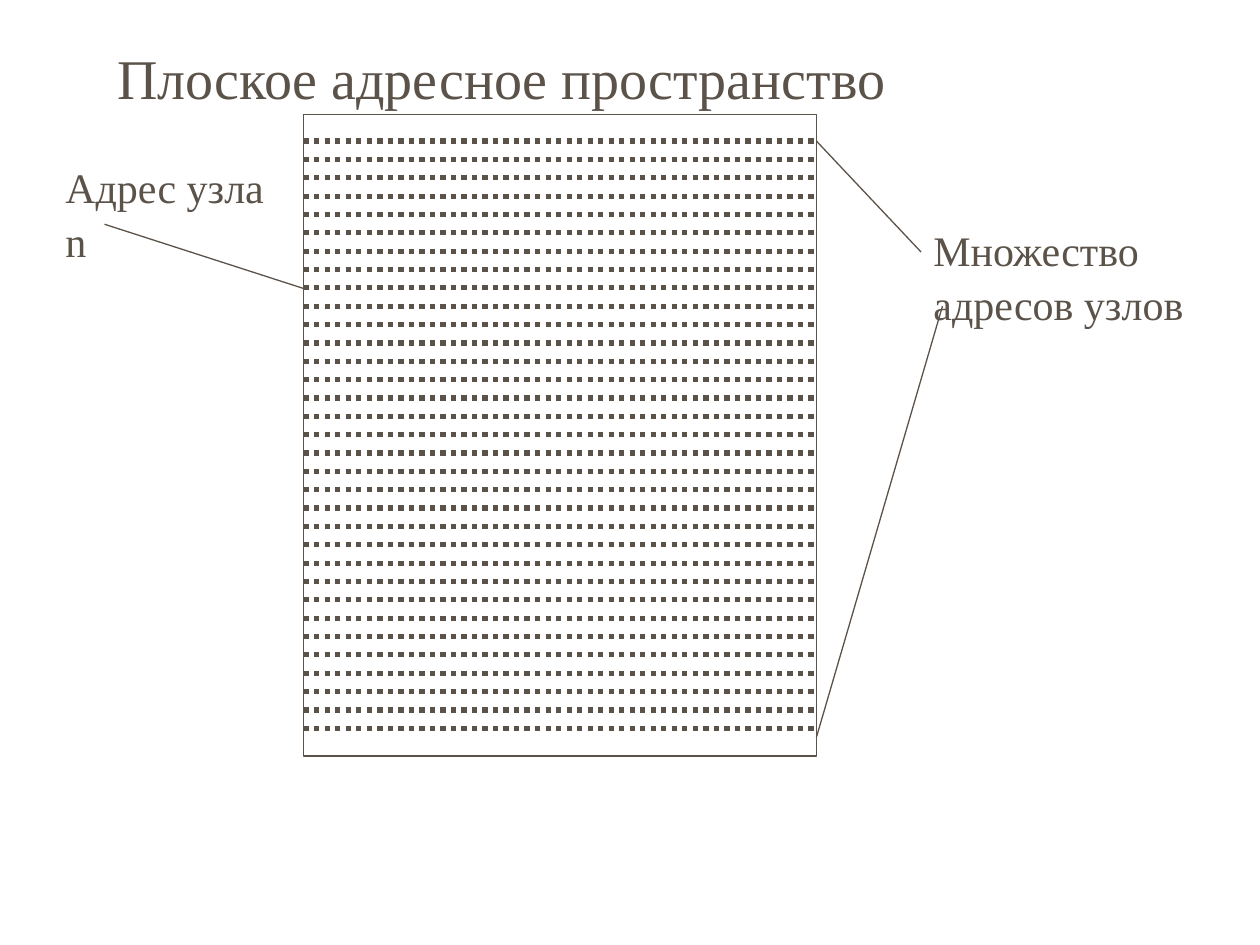
from typing import NamedTuple

from lxml import etree
from pptx import Presentation
from pptx.dml.color import RGBColor
from pptx.enum.dml import MSO_LINE
from pptx.enum.shapes import MSO_CONNECTOR, MSO_SHAPE
from pptx.enum.text import MSO_ANCHOR, MSO_AUTO_SIZE, PP_ALIGN
from pptx.oxml.ns import qn
from pptx.util import Inches, Pt

DOT = MSO_LINE.ROUND_DOT
STRAIGHT = MSO_CONNECTOR.STRAIGHT
RECT = MSO_SHAPE.RECTANGLE
TOP = MSO_ANCHOR.TOP
GROW = MSO_AUTO_SIZE.SHAPE_TO_FIT_TEXT
LEFT = PP_ALIGN.LEFT

INK = "5B5249"
FONT = "Times New Roman"


class Box(NamedTuple):
    left: float
    top: float
    width: float
    height: float


class Label(NamedTuple):
    text: str
    box: Box


class Line(NamedTuple):
    x1: float
    y1: float
    x2: float
    y2: float


FRAME = Box(2.41, 0.91, 4.07, 5.09)
RIGHT = FRAME.left + FRAME.width
ROWS = 33
FIRST, LAST = 1.12, 5.78
STEP = (LAST - FIRST) / (ROWS - 1)

TITLE = Label("Плоское адресное пространство", Box(0.83, 0.25, 7.48, 0.63))
LABELS = [
    Label("Множество адресов узлов", Box(7.31, 1.7, 2.24, 0.9)),
    Label("Адрес узла n", Box(0.42, 1.2, 1.83, 0.9)),
]
LEADERS = [
    Line(RIGHT, FIRST, 7.31, 2),
    Line(7.48, 2.43, RIGHT, 5.85),
    Line(0.83, 1.78, FRAME.left, 2.29),
]


def color(code: str) -> RGBColor:
    return RGBColor.from_string(code)


def place(shape, box: Box) -> None:
    shape.left, shape.top, shape.width, shape.height = map(Inches, box)


def write(shape, text: str, size: float) -> None:
    frame = shape.text_frame
    frame.text = text
    frame.word_wrap = True
    frame.auto_size = GROW
    frame.vertical_anchor = TOP
    para = frame.paragraphs[0]
    para.alignment = LEFT
    para.line_spacing = 1.08
    font = para.runs[0].font
    font.name = FONT
    font.size = Pt(size)
    font.color.rgb = color(INK)


def draw_frame(slide) -> None:
    shape = slide.shapes.add_shape(RECT, *map(Inches, FRAME))
    shape.shadow.inherit = False
    shape.fill.background()
    shape.line.color.rgb = color(INK)
    shape.line.width = Pt(0.75)


def draw_line(slide, line: Line, width: float = 0.75, dash=None) -> None:
    shape = slide.shapes.add_connector(STRAIGHT, *map(Inches, line))
    shape.line.color.rgb = color(INK)
    shape.line.width = Pt(width)
    if dash is not None:
        shape.line.dash_style = dash
    etree.SubElement(shape._element.spPr, qn("a:effectLst"))


def main() -> None:
    deck = Presentation()
    deck.slide_width, deck.slide_height = Inches(10), Inches(7.5)
    slide = deck.slides.add_slide(deck.slide_layouts[5])

    title = slide.shapes.title
    place(title, TITLE.box)
    write(title, TITLE.text, 32)

    draw_frame(slide)
    for row in range(ROWS):
        y = FIRST + row * STEP
        draw_line(slide, Line(FRAME.left, y, RIGHT, y), 3, DOT)

    for label in LABELS:
        shape = slide.shapes.add_textbox(*map(Inches, label.box))
        write(shape, label.text, 24)
    for line in LEADERS:
        draw_line(slide, line)

    deck.save("out.pptx")


if __name__ == "__main__":
    main()
